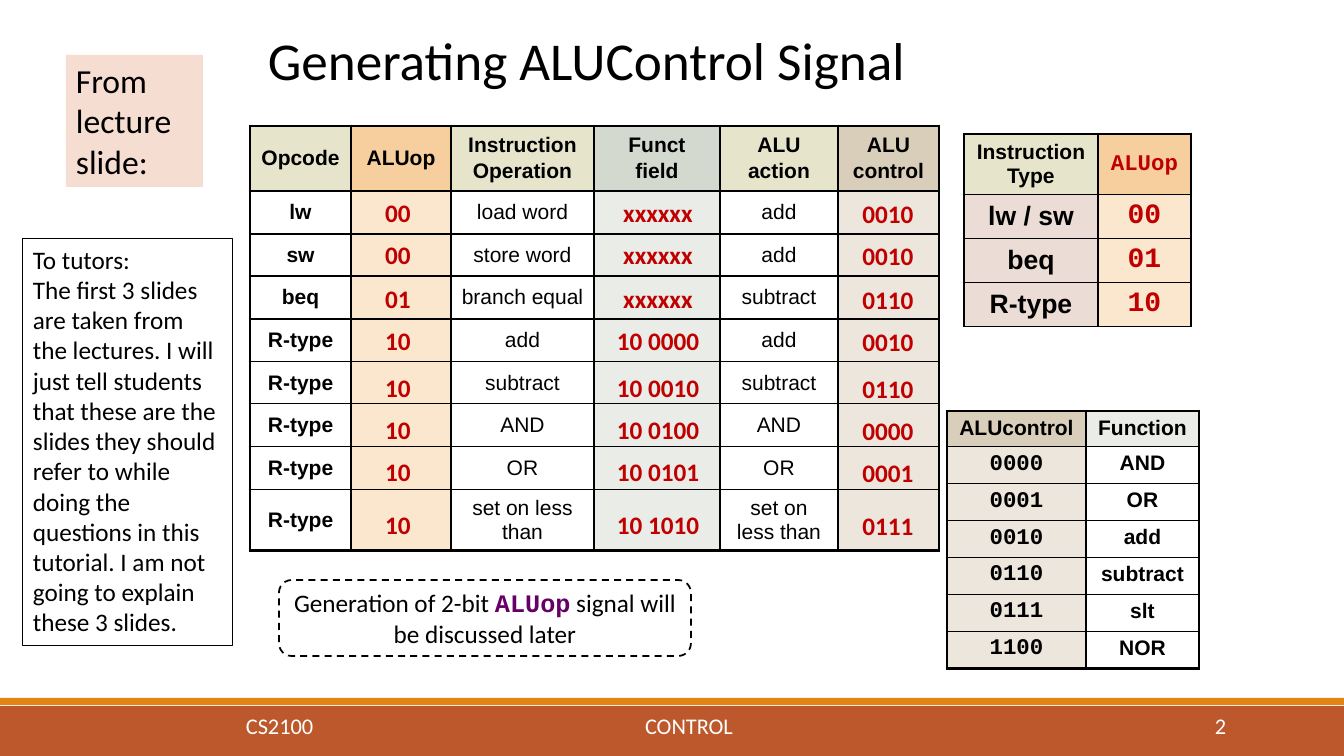
import itertools

import pptx
import pptx.dml.color
import pptx.enum.dml
import pptx.enum.shapes
import pptx.enum.text
import pptx.oxml
import pptx.oxml.ns
import pptx.util

Color = pptx.dml.color.RGBColor
Align = pptx.enum.text.PP_ALIGN
Anchor = pptx.enum.text.MSO_ANCHOR
Preset = pptx.enum.shapes.MSO_SHAPE

BLACK = Color(0x00, 0x00, 0x00)
WHITE = Color(0xFF, 0xFF, 0xFF)
RED = Color(0xC0, 0x00, 0x00)
PURPLE = Color(0x66, 0x00, 0x66)
RUST = Color(0xBD, 0x58, 0x2C)
ORANGE = Color(0xE4, 0x83, 0x12)
PEACH = Color(0xF5, 0xDD, 0xD2)
OLIVE = Color(0xE7, 0xE4, 0xCC)
AMBER = Color(0xF7, 0xCE, 0x9D)
LIGHT_AMBER = Color(0xFB, 0xE6, 0xCE)
SAGE = Color(0xD4, 0xD9, 0xCF)
LIGHT_SAGE = Color(0xEA, 0xEC, 0xE7)
TAN = Color(0xD8, 0xCE, 0xBA)
LIGHT_TAN = Color(0xEC, 0xE6, 0xDD)
ROSE = Color(0xEB, 0xDC, 0xD5)

EMU_PER_PIXEL = 914400 / 100.8
THIN, THICK = 1, 2.25


def emu(pixels):
    """Turn pixels into EMU."""
    return round(pixels * EMU_PER_PIXEL)


def write_text(frame, text, size=18, font="Calibri", color=BLACK, bold=False,
               align=Align.LEFT, gap=0, line_spacing=None):
    """Fill a frame with lines of text, or with one line of (text, format) runs."""
    lines = [[(line, {})] for line in text.split("\n")] if isinstance(text, str) else [text]
    for number, line in enumerate(lines):
        paragraph = frame.add_paragraph() if number else frame.paragraphs[0]
        paragraph.alignment = align
        if number and gap:
            paragraph.space_before = pptx.util.Pt(gap)
        if line_spacing:
            paragraph.line_spacing = line_spacing
        for words, changes in line:
            look = {"font": font, "color": color, "bold": bold, **changes}
            run = paragraph.add_run()
            run.text = words
            run.font.size = pptx.util.Pt(size)
            run.font.name = look["font"]
            run.font.color.rgb = look["color"]
            run.font.bold = look["bold"]


def set_borders(cell, widths):
    """Draw the left, right, top and bottom borders of a cell, in points."""
    properties = cell._tc.get_or_add_tcPr()
    for index, (side, width) in enumerate(zip("LRTB", widths)):
        properties.insert(index, pptx.oxml.parse_xml(
            f'<a:ln{side} {pptx.oxml.ns.nsdecls("a")} w="{pptx.util.Pt(width)}">'
            f'<a:solidFill><a:srgbClr val="{BLACK}"/></a:solidFill></a:ln{side}>'))


class SlideBuilder:
    """Holds the house style and the slide being filled."""

    cell_style = {"size": 15, "font": "Arial", "bold": True, "align": Align.CENTER, "gap": 2}
    code_style = {"size": 16, "font": "Courier New"}

    def __init__(self, slide):
        """Start on an empty slide."""
        self.slide = slide

    def text(self, left, top, width, height, text, anchor=Anchor.TOP, **style):
        """Add a text box."""
        frame = self.slide.shapes.add_textbox(*map(emu, (left, top, width, height))).text_frame
        frame.word_wrap = True
        frame.vertical_anchor = anchor
        write_text(frame, text, **style)

    def box(self, left, top, width, height, text="", preset=Preset.RECTANGLE, fill=None,
            line=0, dashed=False, anchor=Anchor.TOP, **style):
        """Add a preset shape with optional fill, black outline and text."""
        shape = self.slide.shapes.add_shape(preset, *map(emu, (left, top, width, height)))
        shape.shadow.inherit = False
        if fill is None:
            shape.fill.background()
        else:
            shape.fill.solid()
            shape.fill.fore_color.rgb = fill
        if line:
            shape.line.color.rgb = BLACK
            shape.line.width = pptx.util.Pt(line)
        else:
            shape.line.fill.background()
        if dashed:
            shape.line.dash_style = pptx.enum.dml.MSO_LINE.DASH
        if text:
            shape.text_frame.word_wrap = True
            shape.text_frame.vertical_anchor = anchor
            write_text(shape.text_frame, text, **style)

    def table(self, left, top, widths, heights, rows, head_fills, body_fills,
              head_styles, body_styles, anchor=Anchor.MIDDLE, outer=(THICK,) * 4):
        """Add a table styled by column; outer gives left, right, top, bottom widths."""
        table = self.slide.shapes.add_table(
            len(heights), len(widths),
            *map(emu, (left, top, sum(widths), sum(heights)))).table
        table.first_row = table.horz_banding = False
        for column, width in zip(table.columns, widths):
            column.width = emu(width)
        for row, height in zip(table.rows, heights):
            row.height = emu(height)
        last_row, last_column = len(heights) - 1, len(widths) - 1
        for r, c in itertools.product(range(len(heights)), range(len(widths))):
            cell = table.cell(r, c)
            cell.vertical_anchor = anchor
            cell.fill.solid()
            cell.fill.fore_color.rgb = (body_fills if r else head_fills)[c]
            on_edge = (c == 0, c == last_column, r == 0, r == last_row)
            set_borders(cell, [edge if on else THIN for edge, on in zip(outer, on_edge)])
            if rows[r][c]:
                style = (body_styles if r else head_styles)[c]
                write_text(cell.text_frame, rows[r][c], **{**self.cell_style, **style})


presentation = pptx.Presentation()
presentation.slide_width, presentation.slide_height = emu(1344), emu(756)
builder = SlideBuilder(presentation.slides.add_slide(presentation.slide_layouts[6]))

builder.box(0, 706, 1344, 50, fill=RUST)
builder.box(0, 698, 1344, 7, fill=ORANGE)
builder.text(258, 30, 907, 104, "Generating ALUControl Signal", size=38, line_spacing=0.9)

# Opcode, instruction operation and ALU action; the signal columns are overlaid below.
instructions = [
    ("lw", "load word", "add"), ("sw", "store word", "add"),
    ("beq", "branch equal", "subtract"), ("R-type", "add", "add"),
    ("R-type", "subtract", "subtract"), ("R-type", "AND", "AND"),
    ("R-type", "OR", "OR"), ("R-type", "set on less than", "set on less than")]
signal_headings = ("Opcode", "ALUop", "Instruction\nOperation", "Funct\nfield",
                   "ALU\naction", "ALU\ncontrol")
plain = {"bold": False}
builder.table(
    250, 126, (101, 100, 143, 126, 118, 101), (65, 43, 42, 43, 43, 42, 43, 43, 60),
    [signal_headings] + [(opcode, "", operation, "", action, "")
                         for opcode, operation, action in instructions],
    (OLIVE, AMBER, OLIVE, SAGE, OLIVE, TAN),
    (WHITE, LIGHT_AMBER, WHITE, LIGHT_SAGE, WHITE, LIGHT_TAN),
    [{}] * 6, ({}, {}, plain, {}, plain, {}))

functions = [("0000", "AND"), ("0001", "OR"), ("0010", "add"),
             ("0110", "subtract"), ("0111", "slt"), ("1100", "NOR")]
builder.table(
    947, 411, (139, 113), [35] + [37] * 6, [("ALUcontrol", "Function")] + functions,
    (TAN, LIGHT_SAGE), (LIGHT_TAN, WHITE), ({}, {}), (builder.code_style, {}),
    anchor=Anchor.TOP)

builder.box(279, 580, 412, 76,
            [("Generation of 2-bit ", {}),
             ("ALUop", {"font": "Courier New", "color": PURPLE, "bold": True}),
             (" signal will be discussed later", {})],
            preset=Preset.ROUNDED_RECTANGLE, fill=WHITE, line=1.25, dashed=True,
            anchor=Anchor.MIDDLE, align=Align.CENTER)

signal_tops = (192, 234, 278, 320, 367, 409, 451, 504)
signal_columns = [
    (360, 0, 76, ("00", "00", "01", "10", "10", "10", "10", "10")),
    (595, 0, 126, ("xxxxxx", "xxxxxx", "xxxxxx", "10 0000",
                   "10 0010", "10 0100", "10 0101", "10 1010")),
    (846, 1, 84, ("0010", "0010", "0110", "0010", "0110", "0000", "0001", "0111"))]
for left, shift, width, values in signal_columns:
    for top, value in zip(signal_tops, values):
        builder.text(left, top + shift, width, 40, value,
                     color=RED, bold=True, align=Align.CENTER)

red_code = {**builder.code_style, "color": RED}
builder.table(
    964, 134, (134, 93), (60, 44, 44, 44),
    [("Instruction Type", "ALUop"), ("lw / sw", "00"), ("beq", "01"), ("R-type", "10")],
    (OLIVE, AMBER), (ROSE, LIGHT_AMBER),
    ({}, red_code), ({"size": 19}, {**red_code, "size": 20}),
    outer=(THICK, THIN, THICK, THIN))

footer = {"size": 16, "color": WHITE, "anchor": Anchor.MIDDLE}
builder.text(1092, 706, 144, 40, "2", align=Align.RIGHT, **footer)
builder.text(236, 701, 235, 50, "CS2100", **footer)
builder.text(529, 701, 320, 50, "CONTROL", align=Align.CENTER, **footer)

builder.box(66, 55, 137, 132, "From lecture slide:", fill=PEACH, size=24)
builder.box(23, 239, 210, 407,
            "To tutors:\nThe first 3 slides are taken from the lectures. I will just tell "
            "students that these are the slides they should refer to while doing the "
            "questions in this tutorial. I am not going to explain these 3 slides.",
            line=0.75)

presentation.save("out.pptx")
